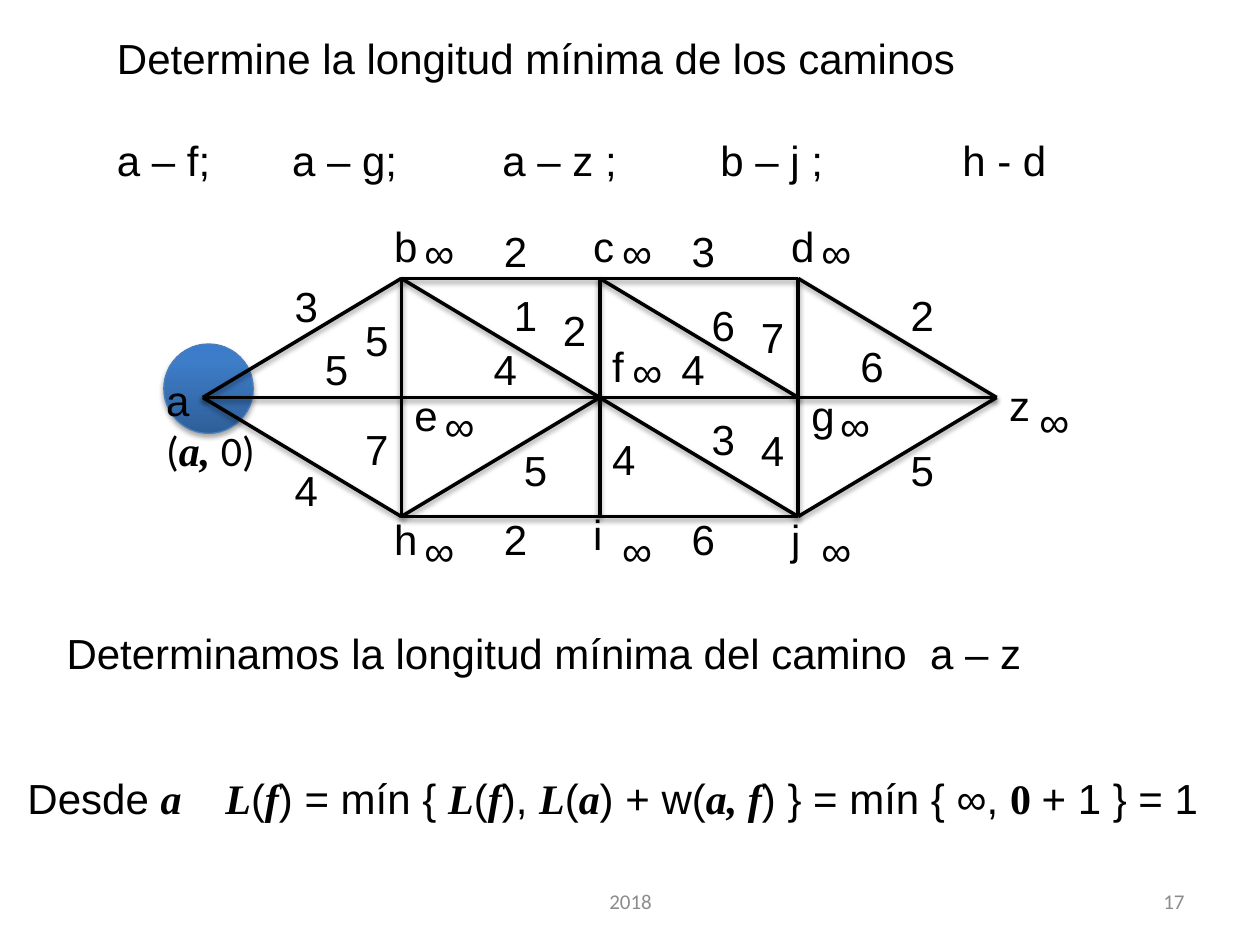
from pptx import Presentation
from pptx.dml.color import RGBColor
from pptx.enum import shapes, text
from pptx.oxml import parse_xml
from pptx.oxml.ns import nsdecls, qn
from pptx.util import Inches, Pt
from lxml import etree

HEADING = "Determine la longitud mínima de los caminos"
ROUTES = ["a – f;", "a – g;", "a – z ;", "b – j ;", "h - d"]
ROUTE_TABS = [1.39, 3.06, 4.79, 6.71]
CONCLUSION = "Determinamos la longitud mínima del camino  a – z"

LEFT, TOP = 1.61, 2.21
COLUMN_GAP, ROW_GAP = 6.3 / 4, 1.89 / 2
NODES = {
    "a": (0, 1, (1.22, 2.92), None),
    "b": (1, 0, (3.03, 1.7), (3.27, 1.75)),
    "e": (1, 1, (3.19, 3.04), (3.43, 3.12)),
    "h": (1, 2, (3.03, 4.03), (3.27, 4.11)),
    "c": (2, 0, (4.61, 1.7), (4.84, 1.75)),
    "f": (2, 1, (4.76, 2.65), (4.92, 2.69)),
    "i": (2, 2, (4.61, 3.99), (4.84, 4.11)),
    "d": (3, 0, (6.18, 1.7), (6.42, 1.75)),
    "g": (3, 1, (6.34, 3.04), (6.57, 3.12)),
    "j": (3, 2, (6.18, 4.03), (6.42, 4.11)),
    "z": (4, 1, (7.91, 2.96), (8.15, 3.09)),
}
EDGES = [
    ("bc", 2, (3.9, 1.74)), ("ef", 4, (3.82, 2.68)), ("hi", 2, (3.9, 4.03)),
    ("be", 5, (2.8, 2.45)), ("eh", 7, (2.8, 3.31)), ("cf", 2, (4.37, 2.37)),
    ("fi", 4, (4.76, 3.39)), ("cd", 3, (5.39, 1.74)), ("fg", 4, (5.31, 2.68)),
    ("ij", 6, (5.39, 4.03)), ("dg", 7, (5.94, 2.42)), ("gj", 4, (5.94, 3.32)),
    ("gz", 6, (6.73, 2.65)), ("ae", 5, (2.48, 2.68)), ("ab", 3, (2.24, 2.18)),
    ("ah", 4, (2.24, 3.64)), ("dz", 2, (7.13, 2.25)), ("jz", 5, (7.13, 3.48)),
    ("bf", 1, (3.98, 2.25)), ("cg", 6, (5.55, 2.33)), ("fj", 3, (5.55, 3.23)),
    ("fh", 5, (4.06, 3.48)),
]

MATH = {"font": "Times New Roman", "bold": True, "italic": True}
BOLD = {"font": "Times New Roman", "bold": True}
CALIBRI = {"font": "Calibri"}
FOOTER = {"font": "Calibri", "size": 12, "color": "8C8C8C", "anchor": text.MSO_ANCHOR.MIDDLE}
START = [("Desde ", {}), ("a", MATH)]
FORMULA = [
    ("L", MATH), ("(", {}), ("f", MATH), (") = mín { ", {}),
    ("L", MATH), ("(", {}), ("f", MATH), ("), ", {}),
    ("L", MATH), ("(", {}), ("a", MATH), (") + w(", {}), ("a, f", MATH),
    (") } = mín { ∞, ", {}), ("0 ", BOLD), ("+ 1 } = 1", {}),
]
START_LABEL = [("(", CALIBRI), ("a, ", MATH), ("0)", CALIBRI)]


def rgb(value):
    return RGBColor.from_string(value)


def format_run(run, font="Arial", size=24, color="000000", bold=False, italic=False):
    run.font.name = font
    run.font.size = Pt(size)
    run.font.color.rgb = rgb(color)
    run.font.bold = bold
    run.font.italic = italic


def add_text(slide, content, left, top, width, height=0.5, align=text.PP_ALIGN.LEFT,
             anchor=text.MSO_ANCHOR.TOP, space_before=0, tabs=(), **style):
    box = slide.shapes.add_textbox(Inches(left), Inches(top), Inches(width), Inches(height))
    frame = box.text_frame
    frame.word_wrap = True
    frame.vertical_anchor = anchor
    paragraphs = content if isinstance(content[0], list) else [content]
    for index, runs in enumerate(paragraphs):
        paragraph = frame.add_paragraph() if index else frame.paragraphs[0]
        paragraph.alignment = align
        if index:
            paragraph.space_before = Pt(space_before)
            tab_list = etree.SubElement(paragraph._p.get_or_add_pPr(), qn("a:tabLst"))
            for position in tabs:
                etree.SubElement(tab_list, qn("a:tab"), pos=str(Inches(position)), algn="l")
        for words, changes in [(runs, {})] if isinstance(runs, str) else runs:
            run = paragraph.add_run()
            run.text = words
            format_run(run, **{**style, **changes})


def add_shadow(shape, opacity, blur, distance):
    shape._element.spPr.append(parse_xml(
        f'<a:effectLst {nsdecls("a")}><a:outerShdw blurRad="{Pt(blur)}" dist="{Pt(distance)}" '
        f'dir="5400000" rotWithShape="0"><a:srgbClr val="000000">'
        f'<a:alpha val="{opacity * 1000}"/></a:srgbClr></a:outerShdw></a:effectLst>'))


def add_start_circle(slide):
    circle = slide.shapes.add_shape(
        shapes.MSO_SHAPE.OVAL, Inches(1.3), Inches(2.73), Inches(0.71), Inches(0.71))
    circle.fill.gradient()
    circle.fill.gradient_angle = 90
    stops = circle._element.spPr.find(".//" + qn("a:gsLst"))
    for stop in list(stops):
        stops.remove(stop)
    for position, color in [(0, "2F5F99"), (80, "3D7CC7"), (100, "3A7CCB")]:
        stop = etree.SubElement(stops, qn("a:gs"), pos=str(position * 1000))
        etree.SubElement(stop, qn("a:srgbClr"), val=color)
    circle.line.color.rgb = rgb("4B7EBC")
    circle.line.width = Pt(0.75)
    add_shadow(circle, 35, 3.1, 1.8)


def node_point(name):
    column, row = NODES[name][:2]
    return Inches(LEFT + column * COLUMN_GAP), Inches(TOP + row * ROW_GAP)


def add_edge(slide, start, end):
    line = slide.shapes.add_connector(
        shapes.MSO_CONNECTOR.STRAIGHT, *node_point(start), *node_point(end))
    line.line.color.rgb = rgb("000000")
    line.line.width = Pt(2)
    add_shadow(line, 38, 3.1, 1.6)


def main():
    presentation = Presentation()
    presentation.slide_width, presentation.slide_height = Inches(10), Inches(7.5)
    slide = presentation.slides.add_slide(presentation.slide_layouts[6])

    add_start_circle(slide)
    add_text(slide, [[(HEADING, {})], [("\t".join(ROUTES), {})]], 0.83, 0.21, 8.27, 1.31,
             space_before=29.3, tabs=ROUTE_TABS)
    for (start, end), _, _ in EDGES:
        add_edge(slide, start, end)
    for name, (_, _, label, distance) in NODES.items():
        add_text(slide, name, *label, 0.39)
        if distance:
            add_text(slide, "∞", *distance, 0.63)
    for _, weight, place in EDGES:
        add_text(slide, str(weight), *place, 0.47)
    add_text(slide, START_LABEL, 1.22, 3.32, 1.02)

    add_text(slide, CONCLUSION, 0.43, 4.93, 8.74)
    add_text(slide, START, 0.12, 6.08, 1.5)
    add_text(slide, FORMULA, 1.69, 6.08, 8.31)
    add_text(slide, "2018", 3.42, 6.95, 3.17, 0.4, align=text.PP_ALIGN.CENTER, **FOOTER)
    add_text(slide, "17", 7.17, 6.95, 2.33, 0.4, align=text.PP_ALIGN.RIGHT, **FOOTER)
    presentation.save("out.pptx")


if __name__ == "__main__":
    main()
